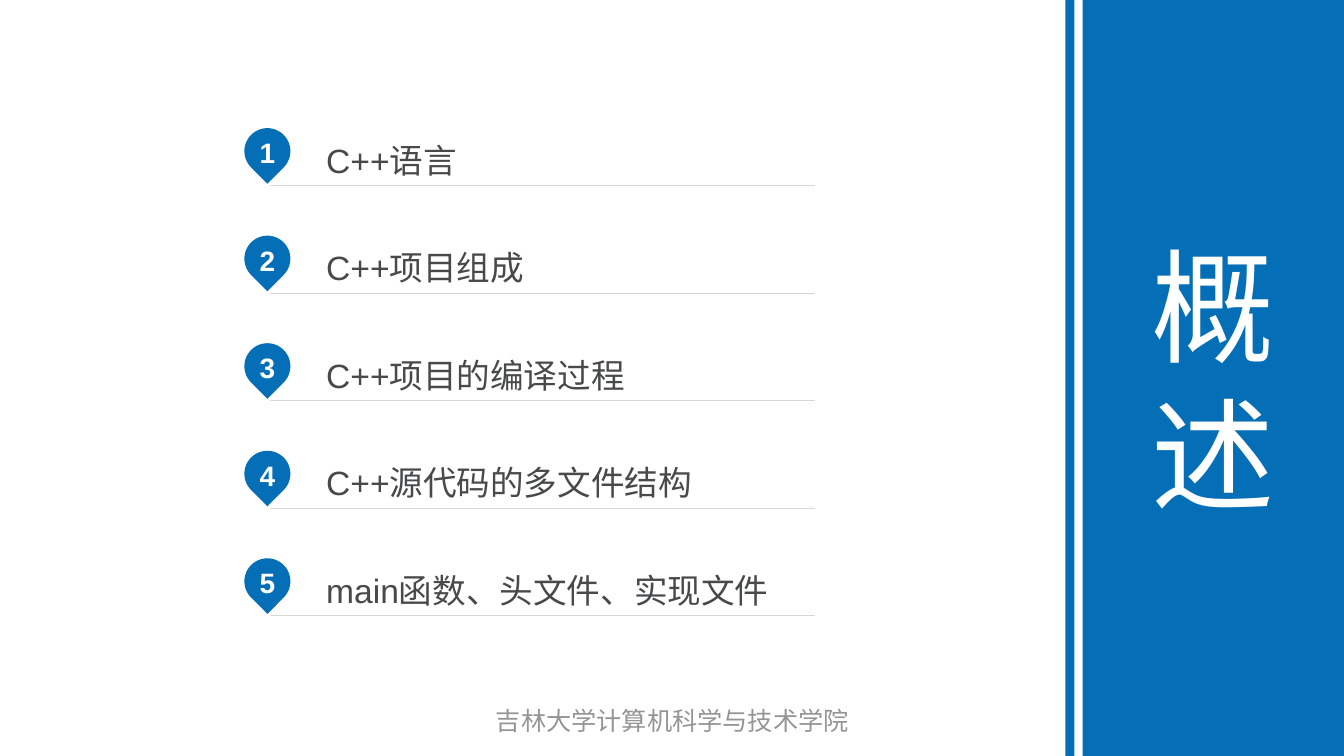
import math

import pptx
import pptx.dml.color
import pptx.enum.shapes
import pptx.enum.text
import pptx.oxml
import pptx.oxml.ns
import pptx.util

Cm = pptx.util.Cm
Pt = pptx.util.Pt
ALIGN = pptx.enum.text.PP_ALIGN

COLORS = {"blue": "046FB6", "white": "FFFFFF", "text": "47494B",
          "rule": "D7D7D7", "footer": "959596"}
TOPICS = ["C++语言", "C++项目组成", "C++项目的编译过程",
          "C++源代码的多文件结构", "main函数、头文件、实现文件"]
FRAME = {"word_wrap": True, "auto_size": pptx.enum.text.MSO_AUTO_SIZE.NONE,
         "vertical_anchor": pptx.enum.text.MSO_ANCHOR.MIDDLE}
PIN_FRAME = {"margin_left": Cm(0.25), "margin_right": Cm(0.25),
             "margin_top": Cm(0.13), "margin_bottom": Cm(0.3)}
TOPIC_FRAME = {"margin_left": Cm(1.4), "margin_right": 0,
               "margin_top": 0, "margin_bottom": Cm(0.1)}
PITCH = 2.71
PIN_RADIUS = 0.58


def color(name):
    return pptx.dml.color.RGBColor.from_string(COLORS[name])


def apply(target, values):
    for name, value in values.items():
        setattr(target, name, value)


def paint(shape, fill):
    shape.fill.solid()
    shape.fill.fore_color.rgb = color(fill)
    shape.line.fill.background()


def write(shape, text, size, ink, bold=False, alignment=ALIGN.CENTER, spacing=1.0):
    apply(shape.text_frame, FRAME)
    shape.text_frame.text = text
    paragraph = shape.text_frame.paragraphs[0]
    apply(paragraph, {"alignment": alignment, "line_spacing": spacing,
                      "space_before": Pt(0)})
    apply(paragraph.font, {"size": Pt(size), "name": "Arial", "bold": bold})
    paragraph.font.color.rgb = color(ink)


def add_title(slide):
    title = slide.shapes.title
    apply(title, {"left": Cm(27.28), "top": 0,
                  "width": Cm(6.6), "height": Cm(19.05)})
    paint(title, "blue")
    write(title, "概述", 88, "white")


def add_stripe(slide):
    stripe = slide.shapes.add_shape(
        pptx.enum.shapes.MSO_SHAPE.RECTANGLE,
        Cm(26.85), Cm(-0.05), Cm(0.23), Cm(19.1))
    stripe.shadow.inherit = False
    paint(stripe, "blue")


def round_head(pin):
    tangent, *head = pin._element.findall(".//" + pptx.oxml.ns.qn("a:lnTo"))
    for segment in head:
        segment.getparent().remove(segment)
    radius = Cm(PIN_RADIUS)
    tangent.addnext(pptx.oxml.parse_xml(
        f'<a:arcTo {pptx.oxml.ns.nsdecls("a")} wR="{radius}" hR="{radius}" '
        f'stAng="{135 * 60000}" swAng="{270 * 60000}"/>'))


def add_pin(slide, number, center_x, top):
    center_y = top + PIN_RADIUS
    angles = [math.radians(degrees) for degrees in (135, 180, 270, 360, 405)]
    head = [(Cm(center_x + PIN_RADIUS * math.cos(angle)),
             Cm(center_y + PIN_RADIUS * math.sin(angle))) for angle in angles]
    builder = slide.shapes.build_freeform(
        Cm(center_x), Cm(center_y + PIN_RADIUS * math.sqrt(2)))
    builder.add_line_segments(head, close=True)
    pin = builder.convert_to_shape()
    round_head(pin)
    pin.shadow.inherit = False
    paint(pin, "blue")
    write(pin, str(number), 20, "white", bold=True)
    apply(pin.text_frame, PIN_FRAME)


def add_topic(slide, text, left, top, right, bottom):
    corner = (Cm(left), Cm(top))
    start = (Cm(left), Cm(bottom))
    builder = slide.shapes.build_freeform(*start)
    builder.add_line_segments([(Cm(right), Cm(bottom)), start], close=True)
    builder.move_to(*corner)
    builder.add_line_segments([corner, corner], close=True)
    topic = builder.convert_to_shape()
    topic.shadow.inherit = False
    topic.fill.background()
    topic.line.color.rgb = color("rule")
    topic.line.width = Pt(0.25)
    write(topic, text, 24, "text", alignment=ALIGN.LEFT, spacing=1.2)
    apply(topic.text_frame, TOPIC_FRAME)


def add_footer(slide):
    footer = slide.shapes.add_textbox(Cm(11.23), Cm(17.65), Cm(11.43), Cm(1.02))
    write(footer, "吉林大学计算机科学与技术学院", 18, "footer")


def main():
    presentation = pptx.Presentation()
    apply(presentation, {"slide_width": Cm(33.87), "slide_height": Cm(19.05)})
    slide = presentation.slides.add_slide(presentation.slide_layouts[5])
    for index, text in enumerate(TOPICS):
        offset = index * PITCH
        add_pin(slide, index + 1, 6.74, 3.23 + offset)
        add_topic(slide, text, 6.82, 3.27 + offset, 20.53, 4.67 + offset)
    add_title(slide)
    add_stripe(slide)
    add_footer(slide)
    presentation.save("out.pptx")


if __name__ == "__main__":
    main()
